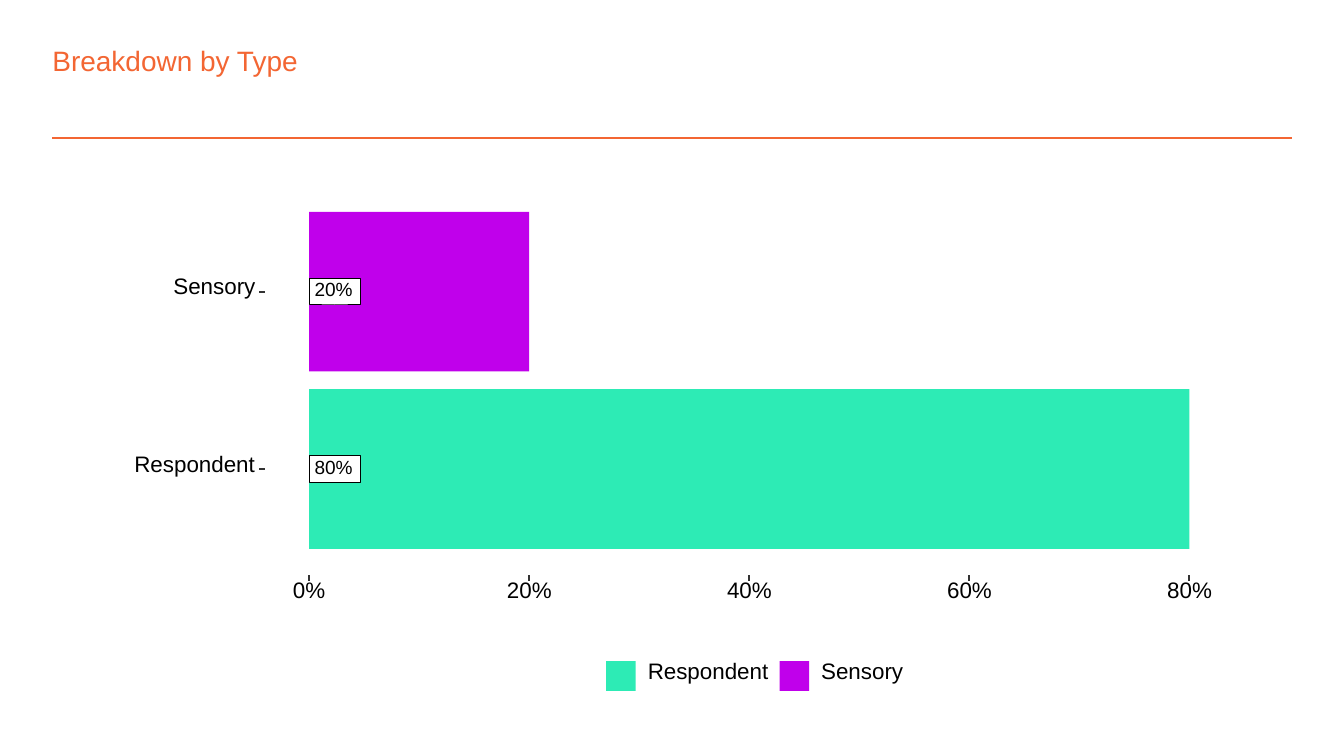
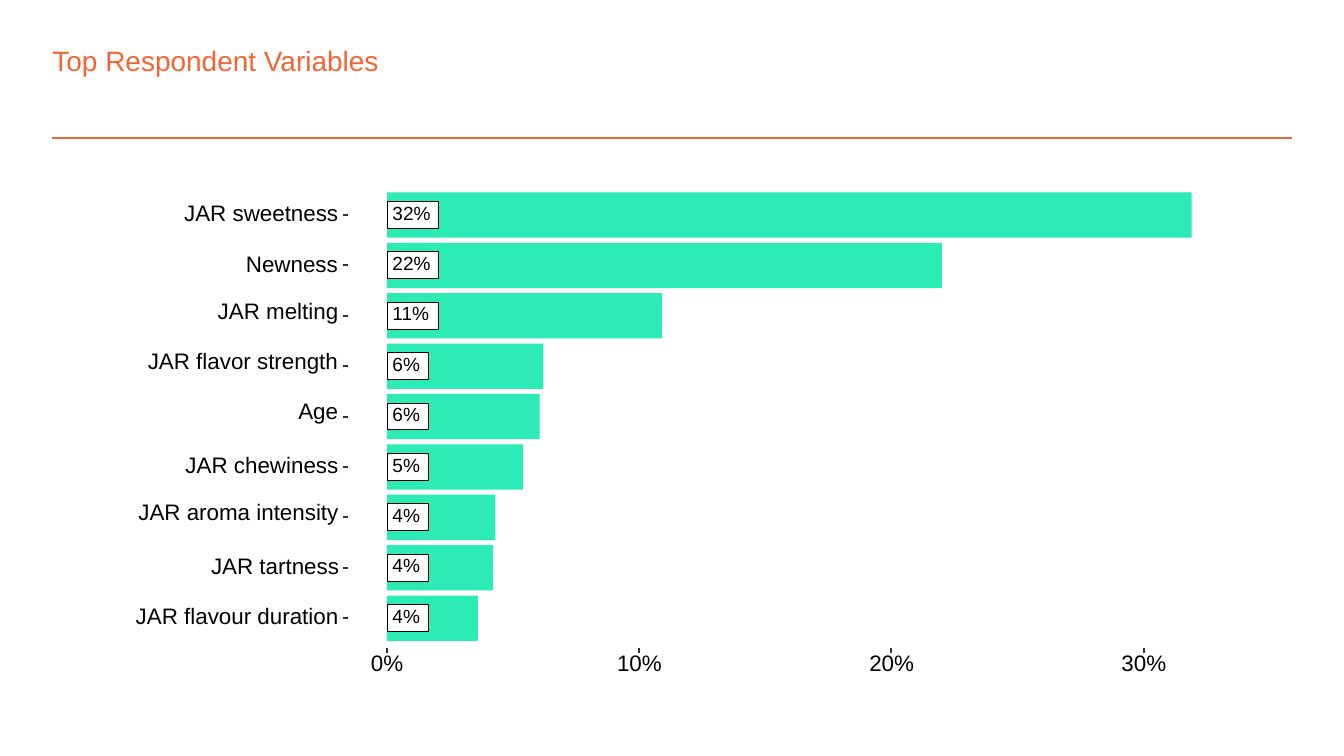
from dataclasses import dataclass
from typing import Optional

from lxml.etree import SubElement
from pptx import Presentation
from pptx.dml.color import RGBColor
from pptx.enum.shapes import MSO_CONNECTOR, MSO_SHAPE
from pptx.enum.text import MSO_ANCHOR, MSO_AUTO_SIZE, PP_ALIGN
from pptx.oxml.ns import qn
from pptx.util import Inches, Pt

ORANGE = RGBColor(0xF3, 0x66, 0x33)
GREEN = RGBColor(0x2D, 0xEB, 0xB5)
PURPLE = RGBColor(0xC0, 0x00, 0xEB)
WHITE = RGBColor(0xFF, 0xFF, 0xFF)
BLACK = RGBColor(0x00, 0x00, 0x00)
TICK_GREY = RGBColor(0x33, 0x33, 0x33)

FONT = "Arial"
TITLE_SIZE = 15
LABEL_SIZE = 12
VALUE_SIZE = 10.2
TITLE_ONLY_LAYOUT = 5
BAR_SHARE = 0.9
TICK_LENGTH = 0.04
TEXT_SLACK = 0.04
LEGEND_MIDDLE = 5.03
SWATCH_SIZE = 0.22
FRAME_FORMAT = {
    "margin_left": 0,
    "margin_top": 0,
    "margin_right": 0,
    "margin_bottom": 0,
}


@dataclass(frozen=True)
class Bar:
    name: str
    percent: float
    name_width: float
    color: RGBColor = GREEN


@dataclass(frozen=True)
class LegendEntry:
    bar: Bar
    left: float


@dataclass(frozen=True)
class BarPanel:
    title: str
    bars: tuple[Bar, ...]
    names_right: float
    bars_left: float
    first_middle: float
    last_middle: float
    axis_top: float
    axis_length: float
    axis_maximum: int
    axis_step: int
    legend: tuple[LegendEntry, ...] = ()

    @property
    def row_pitch(self) -> float:
        return (self.last_middle - self.first_middle) / (len(self.bars) - 1)


RESPONDENT = Bar("Respondent", 80, 0.9)
SENSORY = Bar("Sensory", 20, 0.61, PURPLE)

PANELS = (
    BarPanel(
        title="Breakdown by Type",
        bars=(SENSORY, RESPONDENT),
        names_right=1.9,
        bars_left=2.3,
        first_middle=2.17,
        last_middle=3.49,
        axis_top=4.28,
        axis_length=6.55,
        axis_maximum=80,
        axis_step=20,
        legend=(LegendEntry(RESPONDENT, 4.51), LegendEntry(SENSORY, 5.8)),
    ),
    BarPanel(
        title="Top Respondent Variables",
        bars=(
            Bar("JAR sweetness", 31.9, 1.15),
            Bar("Newness", 22, 0.69),
            Bar("JAR melting", 10.9, 0.9),
            Bar("JAR flavor strength", 6.2, 1.42),
            Bar("Age", 6.05, 0.3),
            Bar("JAR chewiness", 5.4, 1.14),
            Bar("JAR aroma intensity", 4.3, 1.49),
            Bar("JAR tartness", 4.2, 0.95),
            Bar("JAR flavour duration", 3.6, 1.51),
        ),
        names_right=2.52,
        bars_left=2.88,
        first_middle=1.6,
        last_middle=4.6,
        axis_top=4.82,
        axis_length=5.63,
        axis_maximum=30,
        axis_step=10,
    ),
)


def set_all(target, values: dict) -> None:
    for name, value in values.items():
        setattr(target, name, value)


def format_font(font, size: float, color: RGBColor) -> None:
    set_all(font, {"name": FONT, "size": Pt(size), "bold": False})
    font.color.rgb = color


def draw_line(shapes, start: tuple[float, float], end: tuple[float, float],
              color: RGBColor, width: float) -> None:
    line = shapes.add_connector(
        MSO_CONNECTOR.STRAIGHT, *(Inches(value) for value in start + end)
    )
    line.line.color.rgb = color
    line.line.width = Pt(width)
    SubElement(line._element.spPr, qn("a:effectLst"))


def draw_rectangle(shapes, left: float, top: float, width: float, height: float,
                   fill: RGBColor, outline: Optional[RGBColor] = None) -> None:
    box = shapes.add_shape(
        MSO_SHAPE.RECTANGLE,
        Inches(left), Inches(top), Inches(width), Inches(height),
    )
    box.shadow.inherit = False
    box.fill.solid()
    box.fill.fore_color.rgb = fill
    if outline is None:
        box.line.fill.background()
    else:
        box.line.color.rgb = outline
        box.line.width = Pt(0.53)


def draw_text(shapes, text: str, left: float, top: float, width: float,
              height: float, size: float = LABEL_SIZE) -> None:
    box = shapes.add_textbox(
        Inches(left), Inches(top), Inches(width + TEXT_SLACK), Inches(height)
    )
    frame = box.text_frame
    set_all(frame, FRAME_FORMAT)
    set_all(frame, {"word_wrap": True, "vertical_anchor": MSO_ANCHOR.MIDDLE})
    para = frame.paragraphs[0]
    set_all(para, {"line_spacing": Pt(size), "alignment": PP_ALIGN.LEFT})
    span = para.add_run()
    span.text = text
    format_font(span.font, size, BLACK)


def draw_name(shapes, bar: Bar, left: float, middle: float) -> None:
    has_descender = any(letter in "gpy" for letter in bar.name)
    rise, height = (0.1, 0.15) if has_descender else (0.06, 0.12)
    draw_text(shapes, bar.name, left, middle - rise, bar.name_width, height)


def draw_bar(shapes, panel: BarPanel, bar: Bar, middle: float) -> None:
    left = panel.bars_left
    thickness = panel.row_pitch * BAR_SHARE
    length = panel.axis_length * bar.percent / panel.axis_maximum
    draw_rectangle(shapes, left, middle - thickness / 2, length, thickness, bar.color)

    value = f"{bar.percent:.0f}%"
    value_width = 0.21 if len(value) == 2 else 0.28
    draw_rectangle(shapes, left, middle - 0.1, value_width + 0.1, 0.2, WHITE, BLACK)
    draw_text(shapes, value, left + 0.04, middle - 0.06, value_width, 0.11, VALUE_SIZE)

    draw_name(shapes, bar, panel.names_right - bar.name_width, middle)
    tick_left = panel.names_right + 0.03
    draw_line(shapes, (tick_left, middle), (tick_left + TICK_LENGTH, middle),
              TICK_GREY, 1.07)


def draw_axis(shapes, panel: BarPanel) -> None:
    for percent in range(0, panel.axis_maximum + 1, panel.axis_step):
        center = panel.bars_left + panel.axis_length * percent / panel.axis_maximum
        draw_line(shapes, (center, panel.axis_top),
                  (center, panel.axis_top + TICK_LENGTH), TICK_GREY, 1.07)
        width = 0.24 if percent < 10 else 0.33
        draw_text(shapes, f"{percent}%", center - width / 2,
                  panel.axis_top + 0.06, width, 0.13)


def draw_legend(shapes, panel: BarPanel) -> None:
    for entry in panel.legend:
        draw_rectangle(shapes, entry.left, LEGEND_MIDDLE - SWATCH_SIZE / 2,
                       SWATCH_SIZE, SWATCH_SIZE, entry.bar.color)
        draw_name(shapes, entry.bar, entry.left + 0.31, LEGEND_MIDDLE)


def draw_title(page, text: str) -> None:
    draw_line(page.shapes, (0.39, 1.03), (9.61, 1.03), ORANGE, 1)
    title = page.shapes.title
    set_all(title, {
        "left": Inches(0.39),
        "top": Inches(0.32),
        "width": Inches(8.29),
        "height": Inches(0.25),
    })
    frame = title.text_frame
    set_all(frame, FRAME_FORMAT)
    set_all(frame, {
        "word_wrap": True,
        "vertical_anchor": MSO_ANCHOR.TOP,
        "auto_size": MSO_AUTO_SIZE.SHAPE_TO_FIT_TEXT,
    })
    para = frame.paragraphs[0]
    para.alignment = PP_ALIGN.LEFT
    span = para.add_run()
    span.text = text
    format_font(span.font, TITLE_SIZE, ORANGE)


def add_panel_page(deck, panel: BarPanel) -> None:
    page = deck.slides.add_slide(deck.slide_layouts[TITLE_ONLY_LAYOUT])
    draw_title(page, panel.title)
    shapes = page.shapes.add_group_shape().shapes
    for row, bar in enumerate(panel.bars):
        draw_bar(shapes, panel, bar, panel.first_middle + row * panel.row_pitch)
    draw_axis(shapes, panel)
    draw_legend(shapes, panel)


def main() -> None:
    deck = Presentation()
    deck.slide_width = Inches(10)
    deck.slide_height = Inches(5.625)
    for panel in PANELS:
        add_panel_page(deck, panel)
    deck.save("out.pptx")


if __name__ == "__main__":
    main()
